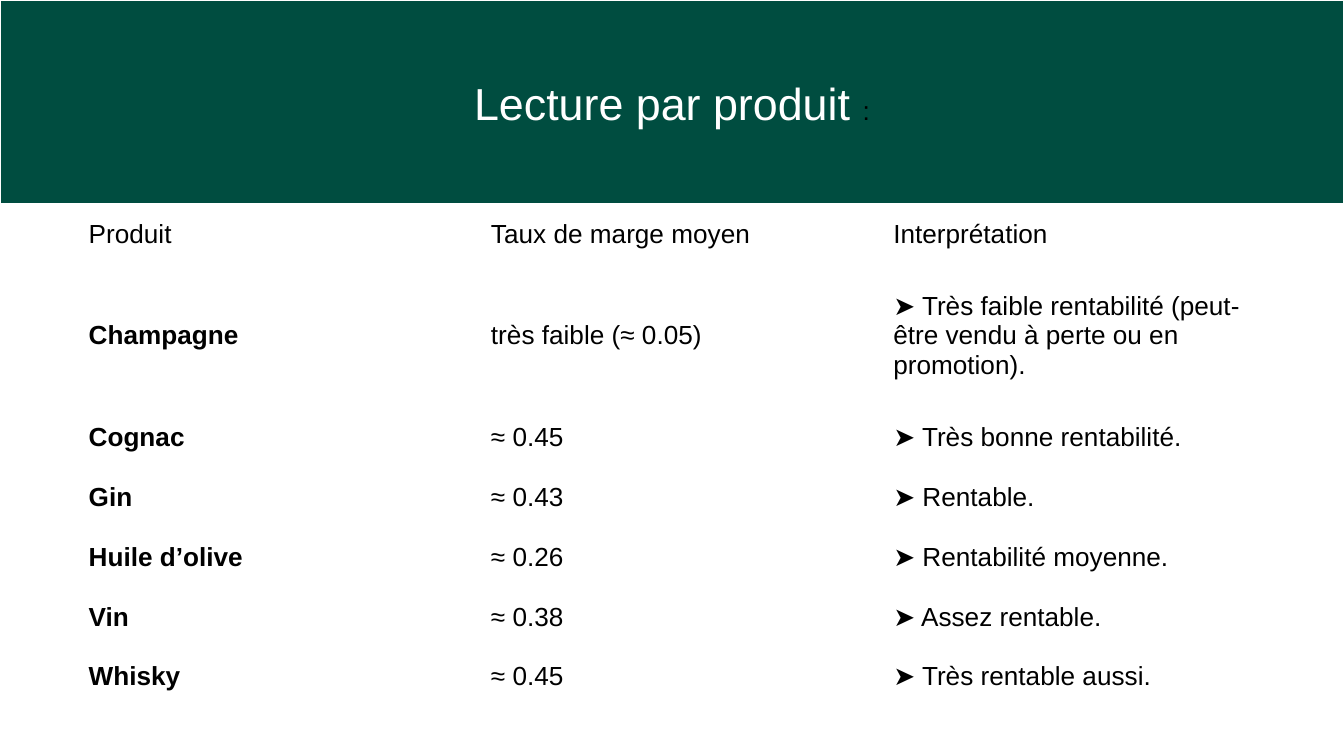
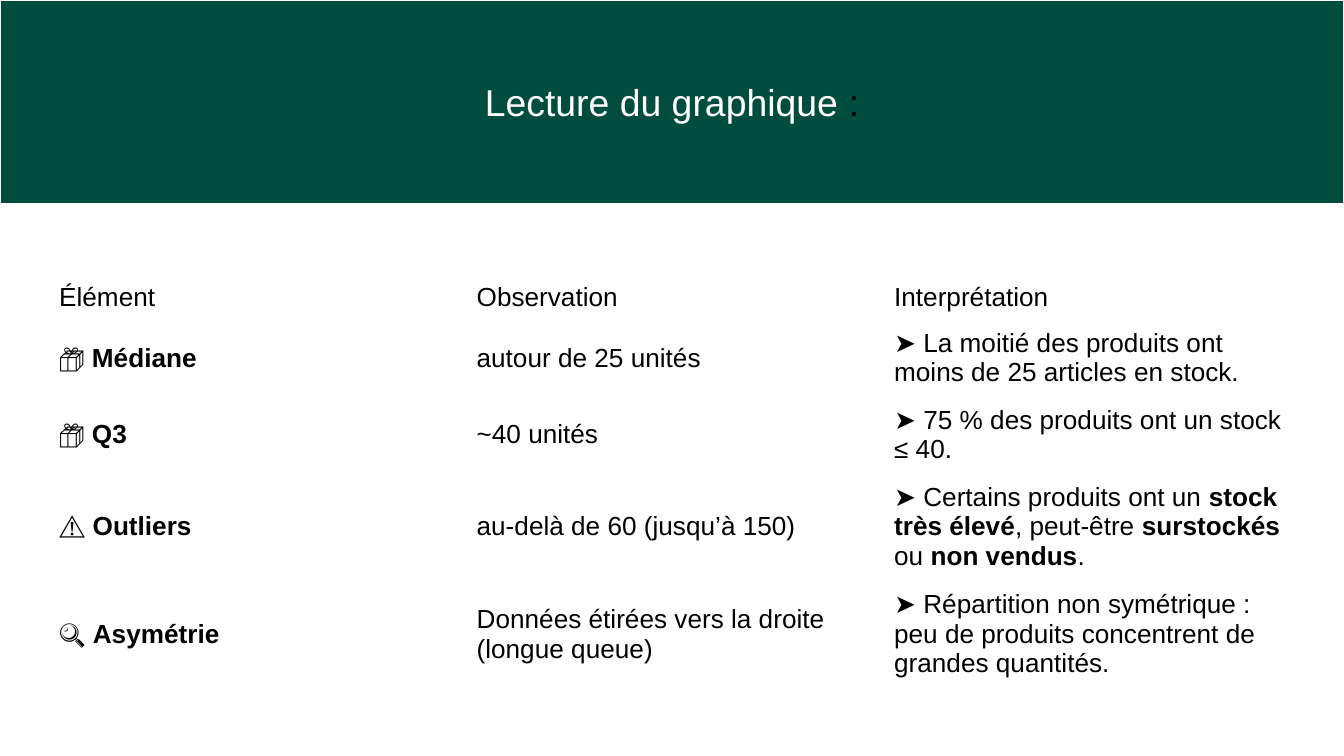
from pptx import Presentation
from pptx.dml.color import RGBColor
from pptx.enum.text import MSO_ANCHOR, MSO_AUTO_SIZE, PP_ALIGN
from pptx.util import Inches, Pt

WIDE = 10
HIGH = WIDE * 9 / 16
BAND = 0.27 * HIGH
GREEN, WHITE, BLACK = "004D40", "FFFFFF", "000000"
FONT = "Arial"
TEXT = 14

# Cell text: words between ** are bold
MARGINS = [
    ("Produit", "Taux de marge moyen", "Interprétation"),
    ("**Champagne**", "très faible (≈ 0.05)",
     "➤ Très faible rentabilité (peut-être vendu à perte ou en promotion)."),
    ("**Cognac**", "≈ 0.45", "➤ Très bonne rentabilité."),
    ("**Gin**", "≈ 0.43", "➤ Rentable."),
    ("**Huile d’olive**", "≈ 0.26", "➤ Rentabilité moyenne."),
    ("**Vin**", "≈ 0.38", "➤ Assez rentable."),
    ("**Whisky**", "≈ 0.45", "➤ Très rentable aussi."),
]
STOCKS = [
    ("Élément", "Observation", "Interprétation"),
    ("📦 **Médiane**", "autour de 25 unités",
     "➤ La moitié des produits ont moins de 25 articles en stock."),
    ("📦 **Q3**", "~40 unités", "➤ 75 % des produits ont un stock ≤ 40."),
    ("⚠️ **Outliers**", "au-delà de 60 (jusqu’à 150)",
     "➤ Certains produits ont un **stock très élevé**, peut-être "
     "**surstockés** ou **non vendus**."),
    ("🔍 **Asymétrie**", "Données étirées vers la droite (longue queue)",
     "➤ Répartition non symétrique : peu de produits concentrent "
     "de grandes quantités."),
]


def color(code):
    return RGBColor.from_string(code)


def place(shape, box):
    shape.left, shape.top, shape.width, shape.height = map(Inches, box)


# Title band: white words, then a black colon
def band(slide, words, size, colon):
    title = slide.shapes.title
    place(title, (0, 0, WIDE, BAND))
    title.fill.solid()
    title.fill.fore_color.rgb = color(GREEN)
    title.line.color.rgb = color(WHITE)
    title.line.width = Pt(0.75)
    frame = title.text_frame
    frame.auto_size = MSO_AUTO_SIZE.NONE
    frame.word_wrap = True
    frame.vertical_anchor = MSO_ANCHOR.MIDDLE
    frame.margin_left = frame.margin_right = Inches(0.1)
    frame.margin_top = frame.margin_bottom = Inches(0.1)
    para = frame.paragraphs[0]
    para.alignment = PP_ALIGN.CENTER
    for text, points, tint in ((words + " ", size, WHITE), (":", colon, BLACK)):
        run = para.add_run()
        run.text = text
        run.font.name = FONT
        run.font.size = Pt(points)
        run.font.color.rgb = color(tint)


# One plain cell, with bold parts
def write(cell, text):
    cell.fill.background()
    cell.vertical_anchor = MSO_ANCHOR.MIDDLE
    para = cell.text_frame.paragraphs[0]
    para.font.name = FONT
    para.font.size = Pt(TEXT)
    para.font.color.rgb = color(BLACK)
    for i, part in enumerate(text.split("**")):
        if part:
            run = para.add_run()
            run.text = part
            run.font.bold = i % 2 == 1


# Table of equal columns
def grid(slide, rows, left, top, width, heights):
    box = (left, top, width, sum(heights))
    cols = len(rows[0])
    frame = slide.shapes.add_table(len(rows), cols, *map(Inches, box))
    table = frame.table
    table.first_row = table.horz_banding = False
    for col in table.columns:
        col.width = Inches(width / cols)
    for r, (row, tall) in enumerate(zip(rows, heights)):
        table.rows[r].height = Inches(tall)
        for c, text in enumerate(row):
            write(table.cell(r, c), text)


def main():
    deck = Presentation()
    deck.slide_width, deck.slide_height = Inches(WIDE), Inches(HIGH)
    layout = deck.slide_layouts[5]

    # Margin by product: one tall row, the rest share what is left
    slide = deck.slides.add_slide(layout)
    band(slide, "Lecture par produit", 24, 14)
    tall = 1.07
    low = (3.74 - tall) / 6
    grid(slide, MARGINS, 0.56, BAND, 8.98, [low, tall] + [low] * 5)

    # Reading of the stock chart
    slide = deck.slides.add_slide(layout)
    band(slide, "Lecture du graphique", 20, 20)
    grid(slide, STOCKS, 0.34, 2.05, 9.32, [0.33, 0.57, 0.57, 0.8, 0.8])

    deck.save("out.pptx")


if __name__ == "__main__":
    main()
